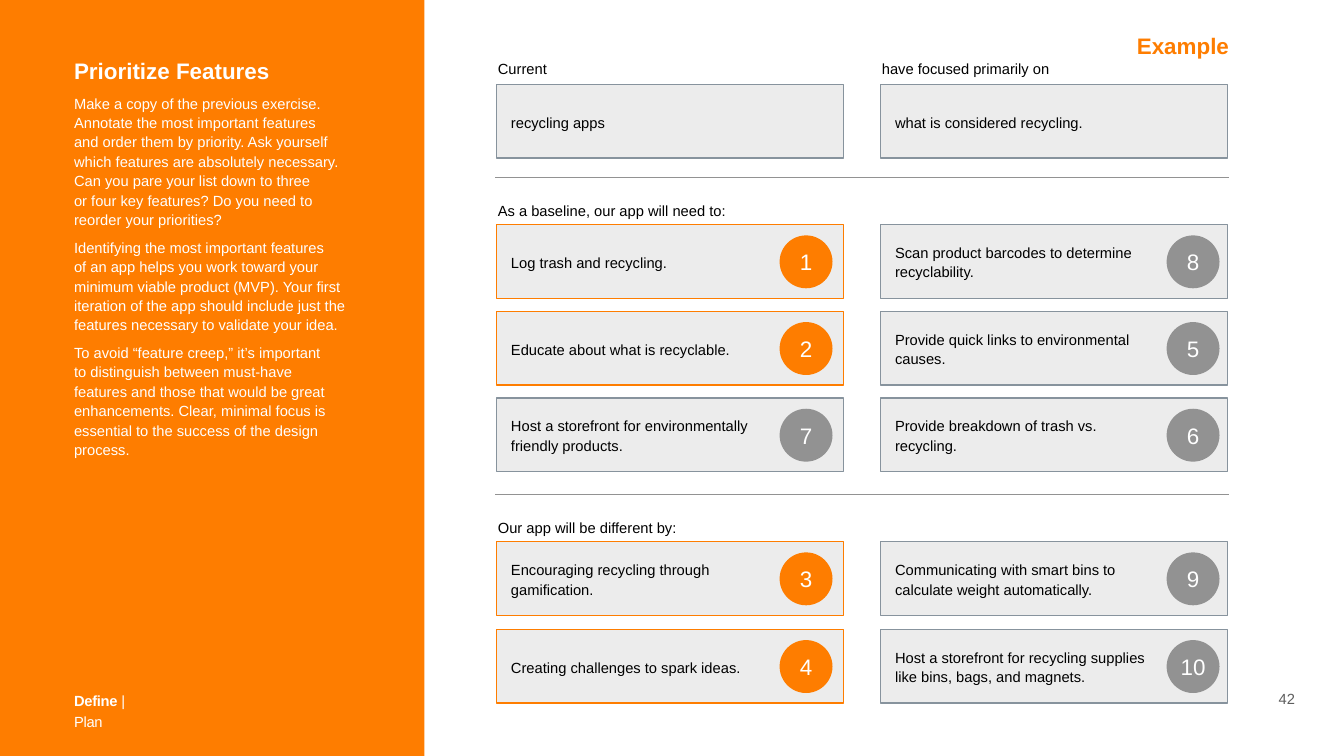
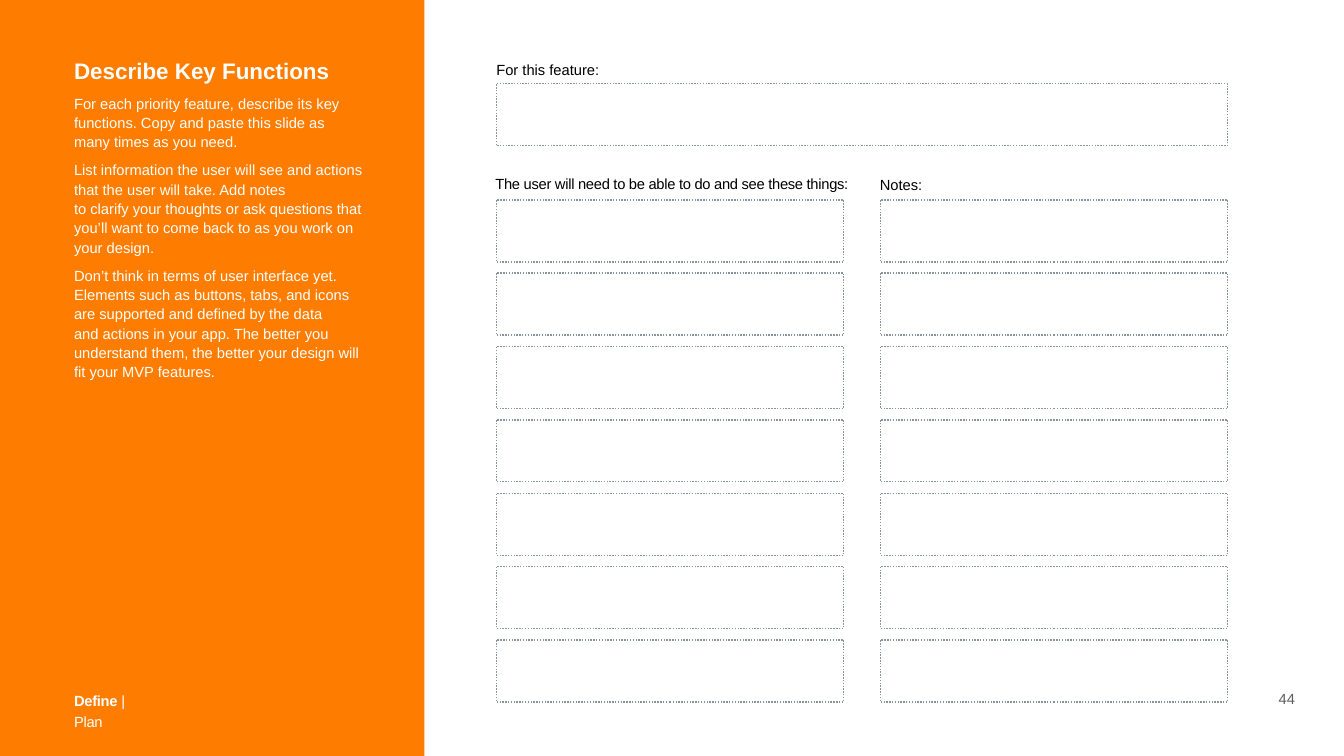
from pptx import Presentation
from pptx.dml.color import RGBColor as RGB
from pptx.enum.dml import MSO_LINE as Dash
from pptx.enum.shapes import MSO_CONNECTOR as Link, MSO_SHAPE as Kind
from pptx.enum.text import MSO_ANCHOR as Anchor, PP_ALIGN as Align
from pptx.oxml.ns import qn
from pptx.util import Pt
from lxml.etree import SubElement


class Theme:
    font = "Arial"
    head, body = 32, 21
    orange, gray, slate = "FE7D00", "929292", "87939D"
    pale, white, black, folio = "D5D5D5", "FFFFFF", "000000", "5E5E5E"


PX = 9144
LEFT, RIGHT, CARD = 985, 1747, 689
COLS = (LEFT, RIGHT)


def put(page, kind, x, y, w, h, fill=None, line=None, dash=None, alpha=None,
        pad=6, anchor=Anchor.MIDDLE, wrap=True):
    spot = [n * PX for n in (x, y, w, h)]
    if kind is None:
        shape = page.shapes.add_textbox(*spot)
    else:
        shape = page.shapes.add_shape(kind, *spot)
        shape.shadow.inherit = False
        shape.fill.solid()
        shape.fill.fore_color.rgb = RGB.from_string(fill)
        if alpha:
            tint = shape._element.spPr.find(qn("a:solidFill"))[0]
            SubElement(tint, qn("a:alpha"), val=str(alpha * 1000))
        if line:
            shape.line.color.rgb = RGB.from_string(line)
            shape.line.width = Pt(2)
            if dash:
                shape.line.dash_style = dash
        else:
            shape.line.fill.background()
    frame = shape.text_frame
    frame.word_wrap = wrap
    frame.vertical_anchor = anchor
    frame.margin_left = frame.margin_right = pad * PX
    frame.margin_top = frame.margin_bottom = pad * PX
    return frame


def write(frame, *paras, size=Theme.body, color=Theme.black, bold=False, lead=1.1,
          gap=None, align=Align.LEFT, track=None, join=False):
    for text in paras:
        para = frame.paragraphs[-1]
        if para.runs and not join:
            para = frame.add_paragraph()
        para.alignment = align
        para.line_spacing = lead
        if gap:
            para.space_before = Pt(gap)
        for i, part in enumerate(text.split("\n")):
            if i:
                para.add_line_break()
            run = para.add_run()
            run.text = part
            run.font.name = Theme.font
            run.font.size = Pt(size)
            run.font.bold = bold
            run.font.color.rgb = RGB.from_string(color)
            if track:
                run._r.get_or_add_rPr().set("spc", str(track))


deck = Presentation()
deck.slide_width, deck.slide_height = 2667 * PX, 1500 * PX

intros = [
    ("42", 574, "Prioritize Features", [
        "Make a copy of the previous exercise. Annotate the most important features\n"
        "and order them by priority. Ask yourself which features are absolutely necessary. "
        "Can you pare your list down to three\n"
        "or four key features? Do you need to reorder your priorities?",
        "Identifying the most important features\n"
        "of an app helps you work toward your minimum viable product (MVP). Your first "
        "iteration of the app should include just the features necessary to validate your idea.",
        "To avoid “feature creep,” it’s important\n"
        "to distinguish between must-have\n"
        "features and those that would be great enhancements. Clear, minimal focus is "
        "essential to the success of the design process.",
    ]),
    ("44", 590, "Describe Key Functions", [
        "For each priority feature, describe its key functions. "
        "Copy and paste this slide as many times as you need.",
        "List information the user will see and actions that the user will take. Add notes\n"
        "to clarify your thoughts or ask questions that you’ll want to come back to "
        "as you work on your design.",
        "Don’t think in terms of user interface yet. Elements such as buttons, tabs, and icons "
        "are supported and defined by the data\n"
        "and actions in your app. The better you understand them, the better your design "
        "will fit your MVP features.",
    ]),
]

pages = []
for folio, width, title, story in intros:
    page = deck.slides.add_slide(deck.slide_layouts[6])
    pages.append(page)
    put(page, Kind.RECTANGLE, -1, -1, 843, 1502, fill=Theme.orange)
    frame = put(page, None, 139, 106, width, 803, pad=8, anchor=Anchor.TOP)
    write(frame, title, size=Theme.head, color=Theme.white, bold=True, lead=1.0)
    write(frame, *story, color=Theme.white, gap=12)
    frame = put(page, None, 139, 1358, 170, 51, pad=8, anchor=Anchor.TOP)
    write(frame, "Define", color=Theme.white, bold=True, lead=1.2, track=-40)
    write(frame, " | Plan", color=Theme.white, lead=1.2, track=-40, join=True)
    frame = put(page, None, 2529, 1361, 49, 50, pad=8, anchor=Anchor.BOTTOM, wrap=False)
    write(frame, folio, color=Theme.folio, lead=1.0, align=Align.CENTER)

rank, detail = pages

labels = [
    (982, 111, "Current"),
    (1744, 111, "have focused primarily on"),
    (982, 393, "As a baseline, our app will need to:"),
    (982, 1022, "Our app will be different by:"),
]
for x, y, text in labels:
    write(put(rank, None, x, y, 590, 47), text)

for y in (351, 980):
    rule = rank.shapes.add_connector(Link.STRAIGHT, 983 * PX, y * PX, 2439 * PX, y * PX)
    rule.line.color.rgb = RGB.from_string(Theme.gray)
    rule.line.width = Pt(1)
    SubElement(rule._element.spPr, qn("a:effectLst"))

rows = [
    (168, (None, ["recycling apps"]), (None, ["what is considered recycling."])),
    (446, (1, ["Log trash and recycling."]),
     (8, ["Scan product barcodes to determine recyclability."])),
    (618, (2, ["Educate about what is recyclable."]),
     (5, ["Provide quick links to environmental\ncauses."])),
    (790, (7, ["Host a storefront for environmentally", "friendly products."]),
     (6, ["Provide breakdown of trash vs.", "recycling."])),
    (1075, (3, ["Encouraging recycling through\ngamification."]),
     (9, ["Communicating with smart bins to\ncalculate weight automatically."])),
    (1249, (4, ["Creating challenges to spark ideas."]),
     (10, ["Host a storefront for recycling supplies", "like bins, bags, and magnets."])),
]
for y, *cards in rows:
    for x, dot, (order, lines) in zip(COLS, (1547, 2315), cards):
        top = order is not None and order <= 4
        frame = put(rank, Kind.RECTANGLE, x, y, CARD, 146, fill=Theme.pale, alpha=44,
                    line=Theme.orange if top else Theme.slate, pad=29)
        write(frame, *lines)
        if order:
            frame = put(rank, Kind.OVAL, dot, y + 21, 105, 105,
                        fill=Theme.orange if top else Theme.gray, wrap=order < 10)
            write(frame, str(order), size=Theme.head, color=Theme.white, lead=1.0,
                  align=Align.CENTER)

frame = put(rank, None, 2248, 56, 200, 69, pad=8, wrap=False)
write(frame, "Example", size=Theme.head, color=Theme.orange, bold=True, lead=1.0)

prompts = [
    (979, 111, 590, "For this feature:", None),
    (977, 338, 769, "The user will need to be able to do and see these things:", -40),
    (1740, 339, 707, "Notes:", None),
]
for x, y, w, text, track in prompts:
    write(put(detail, None, x, y, w, 50), text, track=track)

blanks = [(LEFT, 166, RIGHT + CARD - LEFT)]
blanks += [(x, 397 + 291 * i // 2, CARD) for i in range(7) for x in COLS]
for x, y, w in blanks:
    put(detail, Kind.RECTANGLE, x, y, w, 123, fill=Theme.white, line=Theme.slate,
        dash=Dash.ROUND_DOT)

deck.save("out.pptx")
